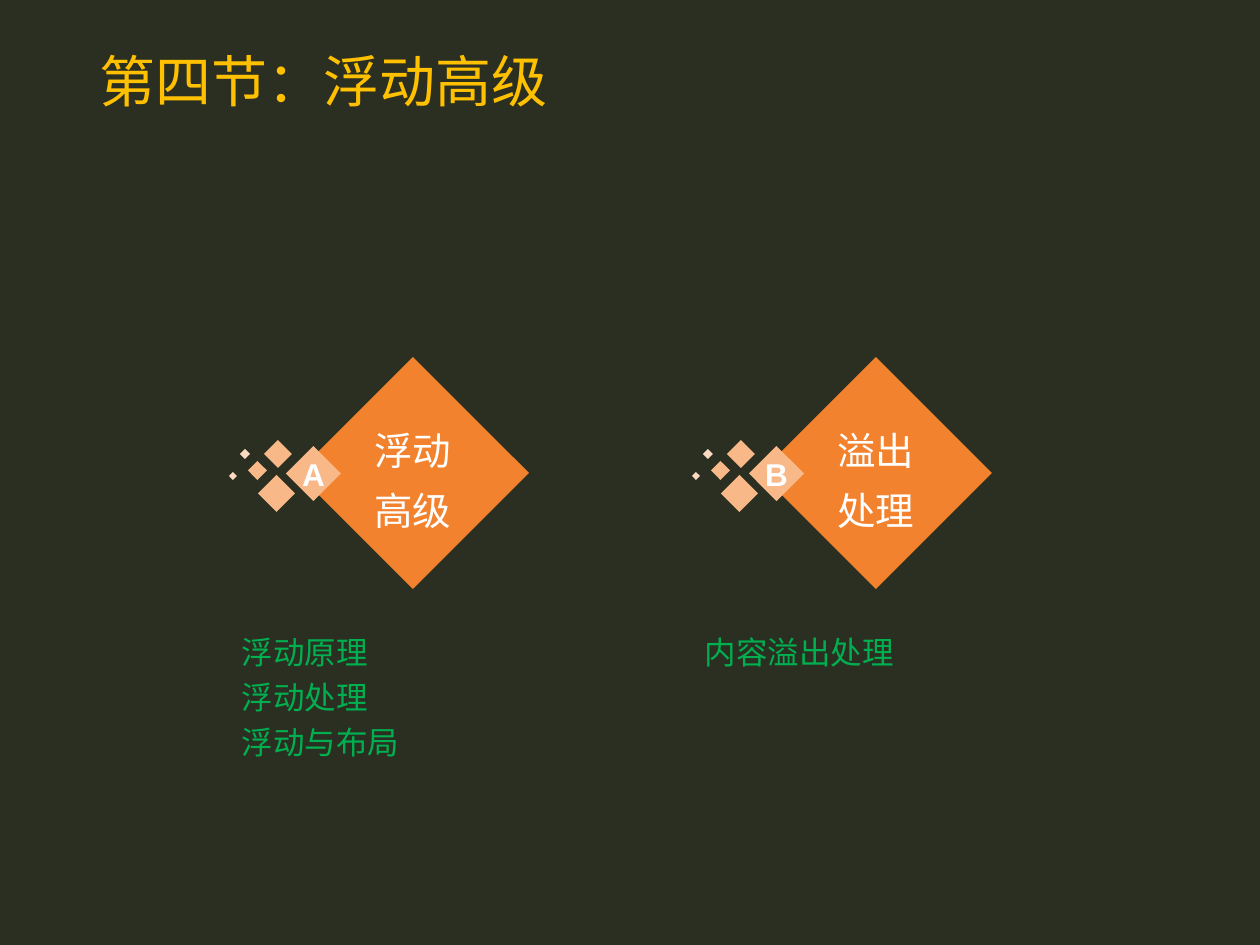
from dataclasses import dataclass

from lxml.etree import SubElement
from pptx import Presentation
from pptx.dml.color import RGBColor
from pptx.enum.shapes import MSO_SHAPE as Shape
from pptx.enum.text import MSO_ANCHOR as Anchor, MSO_AUTO_SIZE as AutoSize, PP_ALIGN as Align
from pptx.oxml.ns import qn
from pptx.util import Pt

PX = 914400 // 126


@dataclass(frozen=True)
class Theme:
    background: str = "2A2F21"
    title: str = "FFC000"
    main: str = "F2822D"
    light: str = "F8B888"
    pale: str = "FBDAC1"
    label: str = "FFFFFF"
    detail: str = "00B050"
    font: str = "Arial"
    asian_font: str = "Noto Sans CJK SC"
    title_size: int = 32
    label_size: int = 22
    detail_size: int = 18


class SlideBuilder:
    def __init__(self, presentation, theme):
        self.theme = theme
        self.slide = presentation.slides.add_slide(presentation.slide_layouts[5])
        fill = self.slide.background.fill
        fill.solid()
        fill.fore_color.rgb = RGBColor.from_string(theme.background)

    def set_text(self, frame, lines, size, color, align, spacing=1.0, bold=False, font=None):
        frame.word_wrap = True
        frame.auto_size = AutoSize.NONE
        frame.text = "\n".join(lines)
        for paragraph in frame.paragraphs:
            paragraph.alignment = align
            paragraph.line_spacing = spacing
            paragraph.font.name = font or self.theme.font
            paragraph.font.size = Pt(size)
            paragraph.font.bold = bold
            paragraph.font.color.rgb = RGBColor.from_string(color)
            defaults = paragraph._p.pPr.find(qn("a:defRPr"))
            SubElement(defaults, qn("a:ea"), typeface=self.theme.asian_font)

    def clear_margins(self, frame):
        frame.margin_left = frame.margin_right = 0
        frame.margin_top = frame.margin_bottom = 0

    def title(self, text, left, top, width, height):
        shape = self.slide.shapes.title
        shape.left, shape.top = left * PX, top * PX
        shape.width, shape.height = width * PX, height * PX
        shape.text_frame.vertical_anchor = Anchor.MIDDLE
        self.set_text(shape.text_frame, [text], self.theme.title_size, self.theme.title,
                      Align.LEFT, 0.9, font=self.theme.asian_font)

    def diamond(self, left, top, size, color):
        shape = self.slide.shapes.add_shape(
            Shape.DIAMOND, left * PX, top * PX, size * PX, size * PX)
        shape.shadow.inherit = False
        shape.fill.solid()
        shape.fill.fore_color.rgb = RGBColor.from_string(color)
        shape.line.fill.background()
        return shape

    def labelled_diamond(self, left, top, size, color, lines, text_size, spacing=1.0, bold=False):
        frame = self.diamond(left, top, size, color).text_frame
        self.clear_margins(frame)
        frame.vertical_anchor = Anchor.MIDDLE
        self.set_text(frame, lines, text_size, self.theme.label, Align.CENTER, spacing, bold)

    def details(self, lines, left, top, width, height):
        frame = self.slide.shapes.add_textbox(
            left * PX, top * PX, width * PX, height * PX).text_frame
        self.clear_margins(frame)
        self.set_text(frame, lines, self.theme.detail_size, self.theme.detail,
                      Align.JUSTIFY, 1.2)

    def topic(self, left, letter, name, details):
        theme = self.theme
        self.labelled_diamond(left + 68, 357, 232, theme.main, name, theme.label_size, 1.3)
        self.details(details, left + 13, 625, 341, 183)
        self.labelled_diamond(left + 57, 446, 55, theme.light, [letter],
                              theme.detail_size, bold=True)
        sparks = [(29, 475, 37, theme.light), (35, 440, 28, theme.light),
                  (19, 461, 19, theme.light), (11, 449, 10, theme.pale),
                  (0, 472, 8, theme.pale)]
        for offset, top, size, color in sparks:
            self.diamond(left + offset, top, size, color)


def main():
    presentation = Presentation()
    presentation.slide_width, presentation.slide_height = 1260 * PX, 945 * PX
    builder = SlideBuilder(presentation, Theme())
    builder.title("第四节：浮动高级", 87, 28, 1087, 113)
    topics = [
        ("A", ["浮动", "高级"], ["浮动原理", "浮动处理", "浮动与布局"]),
        ("B", ["溢出", "处理"], ["内容溢出处理"]),
    ]
    for index, (letter, name, details) in enumerate(topics):
        builder.topic(229 + 463 * index, letter, name, details)
    presentation.save("out.pptx")


if __name__ == "__main__":
    main()
